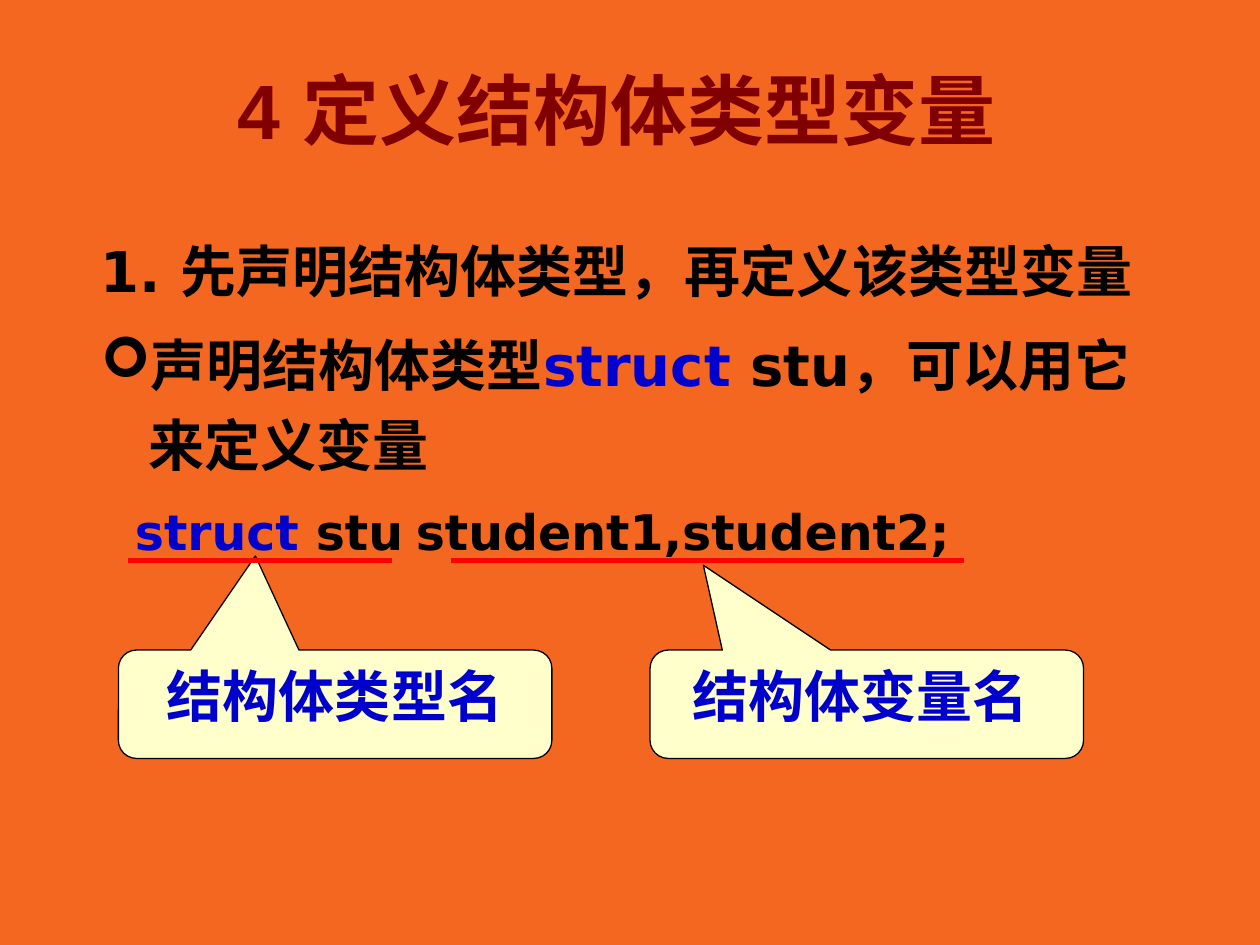
import dataclasses

import lxml.etree
import pptx
import pptx.dml.color
import pptx.enum.shapes
import pptx.enum.text
import pptx.oxml.ns
import pptx.util

Pt = pptx.util.Pt
Anchor = pptx.enum.text.MSO_ANCHOR
AutoSize = pptx.enum.text.MSO_AUTO_SIZE
Align = pptx.enum.text.PP_ALIGN


@dataclasses.dataclass(frozen=True)
class Theme:
    background: str = "F36721"
    title: str = "800000"
    text: str = "000000"
    keyword: str = "0000CC"
    callout: str = "FFFFCC"
    underline: str = "FF0000"
    title_font: str = "Arial"
    body_font: str = "DejaVu Sans"
    title_size: int = 44
    body_size: int = 32
    code_size: int = 28


THEME = Theme()


def rgb(value):
    return pptx.dml.color.RGBColor.from_string(value)


def add_xml(parent, tag, **attributes):
    return lxml.etree.SubElement(parent, pptx.oxml.ns.qn(tag), attributes)


def place(shape, left, top, width, height):
    shape.left, shape.top, shape.width, shape.height = map(Pt, (left, top, width, height))


def add_run(paragraph, text, color=THEME.text, size=THEME.body_size, font=THEME.body_font):
    run = paragraph.add_run()
    run.text = text
    run.font.size = Pt(size)
    run.font.bold = True
    run.font.color.rgb = rgb(color)
    run.font.name = font
    return run


def add_title(slide, text):
    title = slide.shapes.title
    place(title, 3.6, 31.7, 697.7, 60.5)
    frame = title.text_frame
    frame.word_wrap = True
    frame.vertical_anchor = Anchor.MIDDLE
    frame.auto_size = AutoSize.SHAPE_TO_FIT_TEXT
    paragraph = frame.paragraphs[0]
    paragraph.alignment = Align.CENTER
    run = add_run(paragraph, text, THEME.title, THEME.title_size, THEME.title_font)
    # Text shadow, placed between the fill and the font
    properties = run.font._element
    effects = add_xml(properties, "a:effectLst")
    shadow = add_xml(effects, "a:outerShdw", dist="35921", dir="2700000")
    add_xml(shadow, "a:srgbClr", val="C0C0C0")
    properties.find(pptx.oxml.ns.qn("a:solidFill")).addnext(effects)


def add_body_paragraph(frame, index, runs, size=THEME.body_size, margin=27, indent=-27,
                       bullet=None, tab=None):
    paragraph = frame.paragraphs[0] if index == 0 else frame.add_paragraph()
    paragraph.line_spacing = 1.2
    paragraph.space_before = Pt(round(size * 0.234, 1))
    properties = paragraph._p.get_or_add_pPr()
    properties.set("marL", str(Pt(margin)))
    properties.set("indent", str(Pt(indent)))
    if bullet:
        add_xml(properties, "a:buFont", typeface="Wingdings")
        add_xml(properties, "a:buChar", char=bullet)
    else:
        add_xml(properties, "a:buNone")
    if tab:
        tabs = add_xml(properties, "a:tabLst")
        add_xml(tabs, "a:tab", pos=str(Pt(tab)), algn="l")
    for text, color in runs:
        add_run(paragraph, text, color, size)


def add_body(slide):
    body = slide.placeholders[1]
    place(body, 50.4, 123.8, 618.5, 264.2)
    frame = body.text_frame
    frame.word_wrap = True
    frame.auto_size = AutoSize.NONE
    frame.vertical_anchor = Anchor.TOP
    add_body_paragraph(frame, 0, [("1. 先声明结构体类型，再定义该类型变量", THEME.text)])
    add_body_paragraph(frame, 1, [("声明结构体类型", THEME.text), ("struct ", THEME.keyword),
                                  ("stu，可以用它来定义变量", THEME.text)], bullet="➢")
    add_body_paragraph(frame, 2, [("struct ", THEME.keyword),
                                  ("stu\tstudent1,student2;", THEME.text)],
                       THEME.code_size, margin=0, indent=19.5, tab=202.4)


def add_callout(slide, left, text, pointer):
    callout = slide.shapes.add_shape(
        pptx.enum.shapes.MSO_SHAPE.ROUNDED_RECTANGULAR_CALLOUT,
        Pt(left), Pt(371.5), Pt(247.7), Pt(61.9))
    for index, value in enumerate((*pointer, 0.167)):
        callout.adjustments[index] = value
    callout.shadow.inherit = False
    callout.fill.solid()
    callout.fill.fore_color.rgb = rgb(THEME.callout)
    callout.line.color.rgb = rgb(THEME.text)
    callout.line.width = Pt(0.75)
    frame = callout.text_frame
    frame.word_wrap = False
    frame.vertical_anchor = Anchor.TOP
    frame.paragraphs[0].alignment = Align.CENTER
    add_run(frame.paragraphs[0], text, THEME.keyword)


def add_underline(slide, start, end):
    line = slide.shapes.add_connector(
        pptx.enum.shapes.MSO_CONNECTOR.STRAIGHT, Pt(start), Pt(320.4), Pt(end), Pt(320.4))
    line.line.color.rgb = rgb(THEME.underline)
    line.line.width = Pt(3)
    add_xml(line._element.spPr, "a:effectLst")


def main():
    presentation = pptx.Presentation()
    presentation.slide_width, presentation.slide_height = Pt(720), Pt(540)
    slide = presentation.slides.add_slide(presentation.slide_layouts[1])
    slide.background.fill.solid()
    slide.background.fill.fore_color.rgb = rgb(THEME.background)

    # Title and list
    add_title(slide, "4 定义结构体类型变量")
    add_body(slide)

    # Callouts that name the two parts of the declaration
    add_callout(slide, 67.7, "结构体类型名", (-0.184, -1.369))
    add_callout(slide, 371.5, "结构体变量名 ", (-0.377, -1.283))

    # Underlines below the two parts
    for start, end in ((73.4, 223.9), (257.8, 550.8)):
        add_underline(slide, start, end)

    presentation.save("out.pptx")


main()
